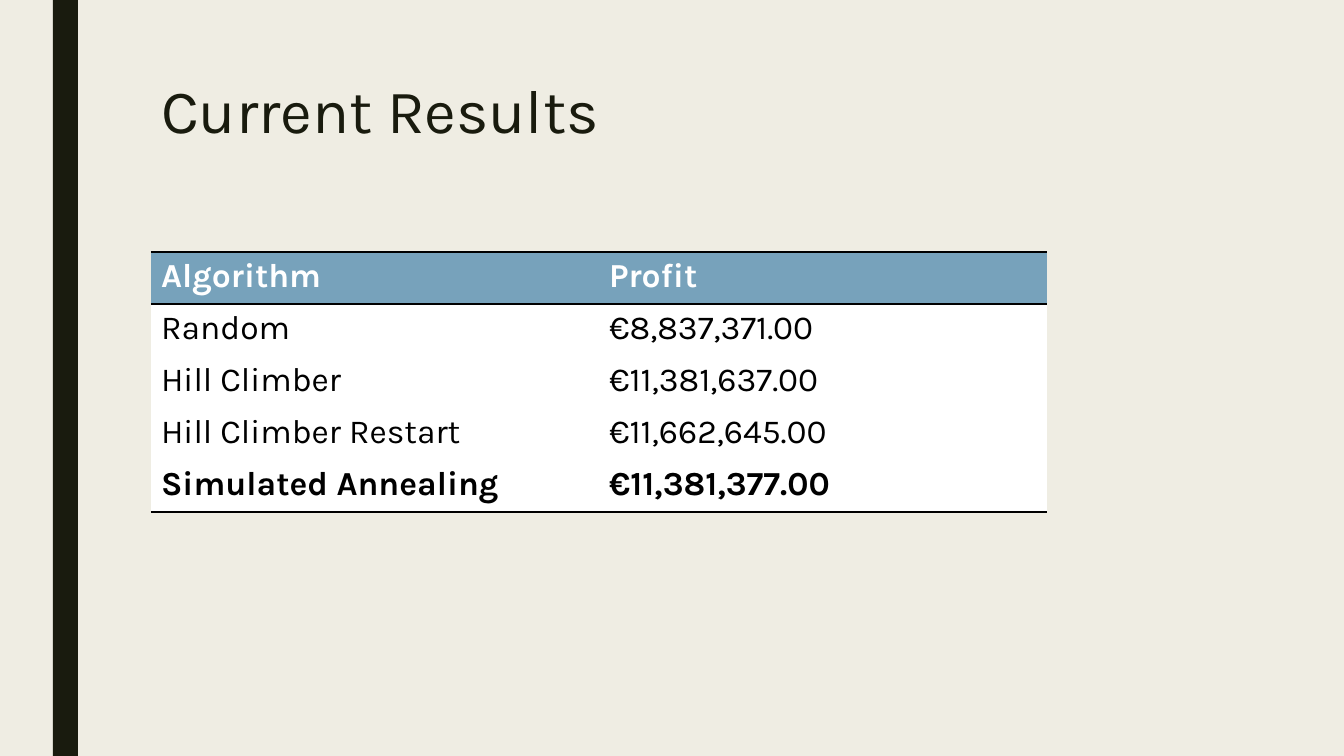
import pptx
import pptx.dml.color
import pptx.enum.shapes
import pptx.enum.text
import pptx.oxml
import pptx.oxml.ns
import pptx.util

EMU_PER_PX = 914400 / 100.8
NO_STYLE_GRID = "{2D5ABB26-0587-4C30-8999-92F81FD0307C}"


def px(length):
    return pptx.util.Emu(round(length * EMU_PER_PX))


def color(hex_code):
    return pptx.dml.color.RGBColor.from_string(hex_code)


def apply(target, values):
    for attribute, value in values.items():
        setattr(target, attribute, value)


class ResultsSlide:
    FONT = "Karla"
    PAPER, DARK, BLUE = "EFEDE3", "191B0E", "77A2BB"
    WHITE, BLACK = "FFFFFF", "000000"

    def __init__(self, deck):
        self.slide = deck.slides.add_slide(deck.slide_layouts[5])
        self.paint(self.slide.background.fill, self.PAPER)

    def paint(self, fill, hex_code):
        fill.solid()
        fill.fore_color.rgb = color(hex_code)

    def add_text(self, frame, text, size, hex_code, bold=False):
        paragraph = frame.paragraphs[0]
        paragraph.alignment = pptx.enum.text.PP_ALIGN.LEFT
        run = paragraph.add_run()
        run.text = text
        apply(run.font, {"name": self.FONT, "size": pptx.util.Pt(size), "bold": bold})
        run.font.color.rgb = color(hex_code)
        return paragraph

    def bar(self, left, top, width, height):
        stripe = self.slide.shapes.add_shape(
            pptx.enum.shapes.MSO_SHAPE.RECTANGLE,
            px(left), px(top), px(width), px(height))
        stripe.shadow.inherit = False
        self.paint(stripe.fill, self.DARK)
        stripe.line.fill.background()

    def title(self, text, left, top, width, height):
        heading = self.slide.shapes.title
        apply(heading, {"left": px(left), "top": px(top),
                        "width": px(width), "height": px(height)})
        apply(heading.text_frame, {
            "word_wrap": True,
            "auto_size": pptx.enum.text.MSO_AUTO_SIZE.NONE,
            "vertical_anchor": pptx.enum.text.MSO_ANCHOR.TOP})
        self.add_text(heading.text_frame, text, 44, self.DARK).line_spacing = 0.89

    def rule(self, cell, side):
        cell._tc.get_or_add_tcPr().append(pptx.oxml.parse_xml(
            f'<a:{side} {pptx.oxml.ns.nsdecls("a")} w="{pptx.util.Pt(2)}">'
            f'<a:solidFill><a:srgbClr val="{self.BLACK}"/></a:solidFill></a:{side}>'))

    def table(self, rows, left, top, width, row_height):
        results = self.slide.shapes.add_table(
            len(rows), len(rows[0]), px(left), px(top),
            px(width), px(row_height * len(rows))).table
        results.horz_banding = False
        results._tbl.tblPr.find(pptx.oxml.ns.qn("a:tableStyleId")).text = NO_STYLE_GRID
        last = len(rows) - 1
        for index, row in enumerate(rows):
            header = index == 0
            # Rules frame the header and close the table
            sides = ["lnT", "lnB"] if header else ["lnB"] if index == last else []
            for column, text in enumerate(row):
                cell = results.cell(index, column)
                for side in sides:
                    self.rule(cell, side)
                self.paint(cell.fill, self.BLUE if header else self.WHITE)
                self.add_text(cell.text_frame, text, 24,
                              self.WHITE if header else self.BLACK,
                              bold=index in (0, last))


def main():
    deck = pptx.Presentation()
    apply(deck, {"slide_width": px(1344), "slide_height": px(756)})
    page = ResultsSlide(deck)

    # Side stripe and heading
    page.bar(53, 0, 25, 756)
    page.title("Current Results", 151, 76, 1058, 163)

    # Profit per algorithm
    page.table([
        ("Algorithm", "Profit"),
        ("Random", "€8,837,371.00"),
        ("Hill Climber", "€11,381,637.00"),
        ("Hill Climber Restart", "€11,662,645.00"),
        ("Simulated Annealing", "€11,381,377.00"),
    ], 151, 252, 896, 52)

    deck.save("out.pptx")


if __name__ == "__main__":
    main()
